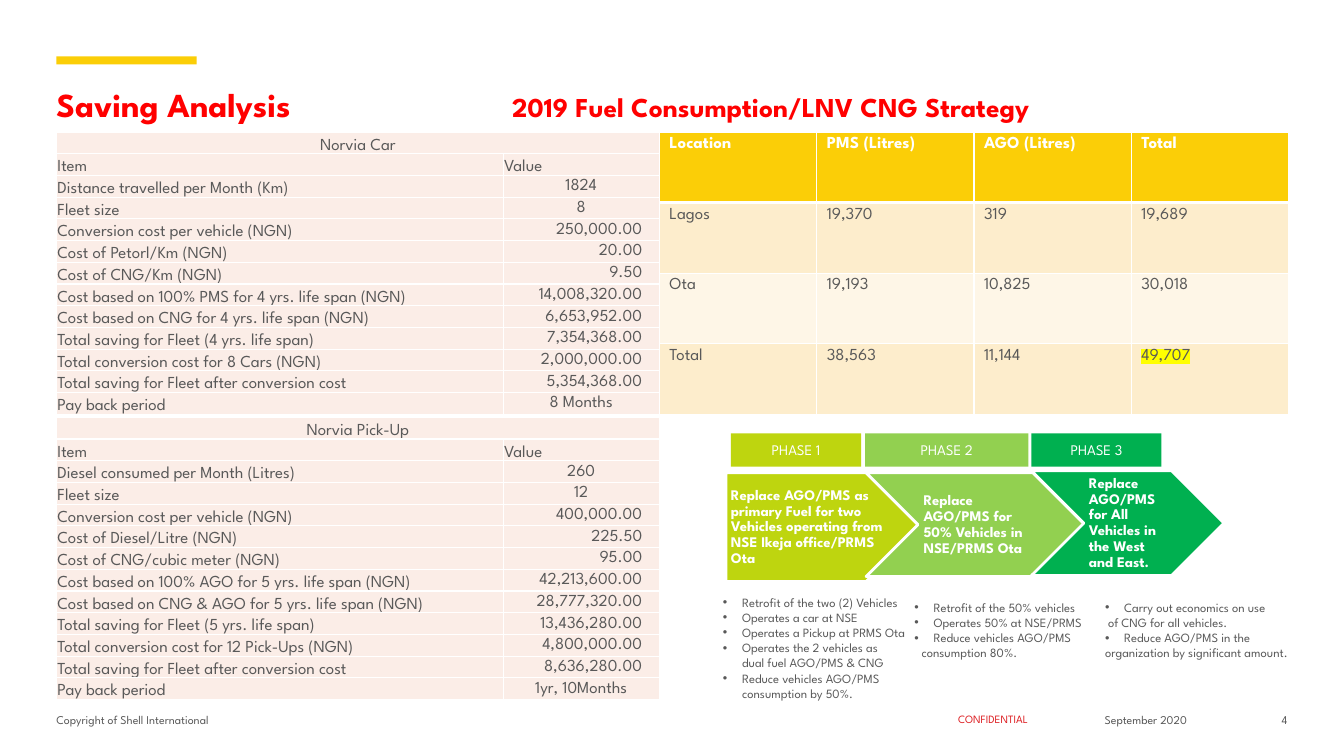
from pptx import Presentation
from pptx.dml.color import RGBColor
from pptx.enum.shapes import MSO_SHAPE
from pptx.enum.text import MSO_ANCHOR, MSO_AUTO_SIZE, PP_ALIGN
from pptx.oxml.ns import qn
from pptx.oxml.xmlchemy import OxmlElement
from pptx.util import Inches, Pt

LEFT, CENTER, RIGHT = PP_ALIGN.LEFT, PP_ALIGN.CENTER, PP_ALIGN.RIGHT
TOP, MIDDLE, BOTTOM = MSO_ANCHOR.TOP, MSO_ANCHOR.MIDDLE, MSO_ANCHOR.BOTTOM
RECTANGLE, PENTAGON, CHEVRON = MSO_SHAPE.RECTANGLE, MSO_SHAPE.PENTAGON, MSO_SHAPE.CHEVRON
FIXED_SIZE = MSO_AUTO_SIZE.NONE

COLORS = {
    "white": "FFFFFF", "grey": "595959", "red": "FF0000", "dark_red": "DD1D21",
    "yellow": "FBCE07", "pink": "FBEDE7", "sand": "FDEDCC", "cream": "FEF6E7",
    "lime": "BED50F", "light_green": "92D050", "green": "00B050", "marker": "FFFF00",
}
NO_INSETS = (0, 0, 0, 0)
COST_INSETS = (0.01, 0.01, 0.01, 0)
VALUE_INSETS = (0.01, 0.01, 0.17, 0)

CAR_ROWS = [
    ("Item", "Value"),
    ("Distance travelled per Month (Km)", "1824"),
    ("Fleet size", "8"),
    ("Conversion cost per vehicle (NGN)", "250,000.00"),
    ("Cost of Petorl/Km (NGN)", "20.00"),
    ("Cost of CNG/Km (NGN)", "9.50"),
    ("Cost based on 100% PMS for 4 yrs. life span (NGN)", "14,008,320.00"),
    ("Cost based on CNG for 4 yrs. life span (NGN)", "6,653,952.00"),
    ("Total saving for Fleet (4 yrs. life span)", "7,354,368.00"),
    ("Total conversion cost for 8 Cars (NGN)", "2,000,000.00"),
    ("Total saving for Fleet after conversion cost", "5,354,368.00"),
    ("Pay back period", "8 Months"),
]
PICKUP_ROWS = [
    ("Item", "Value"),
    ("Diesel consumed per Month (Litres)", "260"),
    ("Fleet size", "12"),
    ("Conversion cost per vehicle (NGN)", "400,000.00"),
    ("Cost of Diesel/Litre (NGN)", "225.50"),
    ("Cost of CNG/cubic meter (NGN)", "95.00"),
    ("Cost based on 100% AGO for 5 yrs. life span (NGN)", "42,213,600.00"),
    ("Cost based on CNG & AGO for 5 yrs. life span (NGN)", "28,777,320.00"),
    ("Total saving for Fleet (5 yrs. life span)", "13,436,280.00"),
    ("Total conversion cost for 12 Pick-Ups (NGN)", "4,800,000.00"),
    ("Total saving for Fleet after conversion cost", "8,636,280.00"),
    ("Pay back period", "1yr, 10Months"),
]
FUEL_ROWS = [
    ("Location", "PMS (Litres)", "AGO (Litres)", "Total"),
    ("Lagos", "19,370", "319", "19,689"),
    ("Ota", "19,193", "10,825", "30,018"),
    ("Total", "38,563", "11,144", "49,707"),
]
# Phase: label, colour, label box, arrow shape, arrow box, text left, text width, text
PHASES = [
    ("PHASE 1", "lime", (7.25, 4.3, 1.29, 0.33), PENTAGON, (7.2, 4.69, 1.93, 1.08), 7.2, 1.66,
     "Replace AGO/PMS as primary Fuel for two Vehicles operating from NSE Ikeja office/PRMS Ota"),
    ("PHASE 2", "light_green", (8.58, 4.3, 1.62, 0.33), CHEVRON, (8.59, 4.69, 2.17, 1.03), 9.11, 1.14,
     "Replace AGO/PMS for 50% Vehicles in NSE/PRMS Ota"),
    ("PHASE 3", "green", (10.23, 4.3, 1.29, 0.33), CHEVRON, (10.23, 4.67, 1.91, 1.04), 10.75, 0.88,
     "Replace AGO/PMS for All Vehicles in the West and East."),
]
# List: box, then lines as (text, indent of an unbulleted line or None for a bullet)
LISTS = [
    ((7.07, 5.85, 2.1, 1.16), [
        ("Retrofit of the two (2) Vehicles", None), ("Operates a car at NSE", None),
        ("Operates a Pickup at PRMS Ota", None), ("Operates the 2 vehicles as", None),
        ("dual fuel AGO/PMS & CNG", 0.19), ("Reduce vehicles AGO/PMS", None),
        ("consumption by 50%.", 0.19)]),
    ((8.97, 5.9, 1.9, 0.71), [
        ("Retrofit of the 50% vehicles", None), ("Operates 50% at NSE/PRMS", None),
        ("Reduce vehicles AGO/PMS", None), ("consumption 80%.", 0.07)]),
    ((10.86, 5.9, 2.08, 0.71), [
        ("Carry out economics on use", None), ("of CNG for all vehicles.", 0.03),
        ("Reduce AGO/PMS in the", None), ("organization by significant amount.", 0)]),
]


def rgb(name):
    return RGBColor.from_string(COLORS[name])


class SlideBuilder:
    def __init__(self, page, font_name):
        self.page = page
        self.font_name = font_name

    def format_font(self, font, size, color, bold=False):
        values = {"name": self.font_name, "size": Pt(size), "bold": bold}
        for key, value in values.items():
            setattr(font, key, value)
        font.color.rgb = rgb(color)

    def format_frame(self, frame, insets, anchor):
        values = dict(zip(("margin_left", "margin_top", "margin_right", "margin_bottom"),
                          map(Inches, insets)))
        values.update(word_wrap=True, auto_size=FIXED_SIZE, vertical_anchor=anchor)
        for key, value in values.items():
            setattr(frame, key, value)

    def place(self, item, box):
        for key, value in zip(("left", "top", "width", "height"), box):
            setattr(item, key, Inches(value))

    def shape(self, kind, box, color, line=None):
        item = self.page.shapes.add_shape(kind, *map(Inches, box))
        item.shadow.inherit = False
        item.fill.solid()
        item.fill.fore_color.rgb = rgb(color)
        if line:
            item.line.color.rgb = rgb("white")
            item.line.width = Pt(line)
        else:
            item.line.fill.background()
        return item

    def fill_frame(self, frame, text, size, color, bold=False, align=LEFT,
                   insets=NO_INSETS, anchor=TOP):
        self.format_frame(frame, insets, anchor)
        para = frame.paragraphs[0]
        para.alignment = align
        span = para.add_run()
        span.text = text
        self.format_font(span.font, size, color, bold)
        return para

    def text(self, box, *content, **style):
        item = self.page.shapes.add_textbox(*map(Inches, box))
        return self.fill_frame(item.text_frame, *content, **style)

    def title(self, item, box, parts, tab):
        self.place(item, box)
        self.format_frame(item.text_frame, (0, 0.05, 0, 0), TOP)
        para = item.text_frame.paragraphs[0]
        para.alignment = LEFT
        stops = OxmlElement("a:tabLst")
        stop = OxmlElement("a:tab")
        stop.set("pos", str(Inches(tab)))
        stop.set("algn", "l")
        stops.append(stop)
        para._p.get_or_add_pPr().append(stops)
        for text, size in parts:
            span = para.add_run()
            span.text = text
            self.format_font(span.font, size, "red", True)

    def bullets(self, item, box, lines):
        self.place(item, box)
        frame = item.text_frame
        self.format_frame(frame, (0.1, 0.05, 0.1, 0.05), TOP)
        for number, (text, indent) in enumerate(lines):
            para = frame.paragraphs[0] if number == 0 else frame.add_paragraph()
            bulleted = indent is None
            settings = para._p.get_or_add_pPr()
            settings.set("marL", str(Inches(0.19 if bulleted else indent)))
            settings.set("indent", str(Inches(-0.19 if bulleted else 0)))
            mark = OxmlElement("a:buChar" if bulleted else "a:buNone")
            if bulleted:
                mark.set("char", "•")
            settings.append(mark)
            para.alignment = LEFT
            para.space_before = Pt(0)
            span = para.add_run()
            span.text = text
            self.format_font(span.font, 9, "grey")

    def table(self, box, widths, row_count):
        grid = self.page.shapes.add_table(row_count, len(widths), *map(Inches, box)).table
        grid.first_row = grid.horz_banding = False
        for column, width in zip(grid.columns, widths):
            column.width = Inches(width)
        for row in grid.rows:
            row.height = Inches(box[3] / row_count)
        return grid

    def cell(self, cell, text, fill, color="grey", bold=False, align=LEFT,
             insets=(0.1, 0.05, 0.1, 0.05), anchor=TOP, bottom_line=1):
        cell.fill.solid()
        cell.fill.fore_color.rgb = rgb(fill)
        for position, side in enumerate("LRTB"):
            line = OxmlElement("a:ln" + side)
            line.set("w", str(Pt(bottom_line if side == "B" else 1)))
            paint = OxmlElement("a:solidFill")
            tint = OxmlElement("a:srgbClr")
            tint.set("val", COLORS["white"])
            paint.append(tint)
            line.append(paint)
            cell._tc.get_or_add_tcPr().insert(position, line)
        for key, value in zip(("left", "top", "right", "bottom"), insets):
            setattr(cell, "margin_" + key, Inches(value))
        cell.vertical_anchor = anchor
        para = cell.text_frame.paragraphs[0]
        para.alignment = align
        if text:
            span = para.add_run()
            span.text = text
            self.format_font(span.font, 12, color, bold)

    def cost_table(self, top, heading, rows):
        grid = self.table((0.56, top, 5.98, 2.8), (4.43, 1.55), len(rows) + 1)
        grid.cell(0, 0).merge(grid.cell(0, 1))
        self.cell(grid.cell(0, 0), heading, "pink", align=CENTER, insets=COST_INSETS, anchor=BOTTOM)
        self.cell(grid.cell(0, 1), "", "pink", insets=COST_INSETS)
        for number, (label, value) in enumerate(rows, 1):
            self.cell(grid.cell(number, 0), label, "pink", insets=COST_INSETS, anchor=BOTTOM)
            money = "." in value
            align = LEFT if number == 1 else RIGHT if money else CENTER
            self.cell(grid.cell(number, 1), value, "pink", align=align,
                      insets=VALUE_INSETS if money else COST_INSETS,
                      anchor=BOTTOM if number == 1 else MIDDLE)

    def fuel_table(self, rows):
        grid = self.table((6.54, 1.31, 6.24, 2.8), [1.56] * 4, len(rows))
        for number, values in enumerate(rows):
            header = number == 0
            fill = "yellow" if header else "sand" if number % 2 else "cream"
            for column, value in enumerate(values):
                self.cell(grid.cell(number, column), value, fill, "white" if header else "grey",
                          header, bottom_line=3 if header else 1)
        # Highlight the grand total
        span = grid.cell(len(rows) - 1, 3).text_frame.paragraphs[0].runs[0]
        highlight = OxmlElement("a:highlight")
        tint = OxmlElement("a:srgbClr")
        tint.set("val", COLORS["marker"])
        highlight.append(tint)
        span._r.get_or_add_rPr().find(qn("a:solidFill")).addnext(highlight)


def main():
    deck = Presentation()
    deck.slide_width, deck.slide_height = Inches(13.33), Inches(7.5)
    page = deck.slides.add_slide(deck.slide_layouts[4])
    builder = SlideBuilder(page, "League Spartan")
    title, *bodies = page.placeholders

    # Accent bar and title
    builder.shape(RECTANGLE, (0.56, 0.56, 1.39, 0.08), "yellow")
    builder.title(title, (0.56, 0.78, 12.22, 0.82), [
        ("Saving Analysis\t", 24), ("2019 Fuel Consumption/LNV CNG Strategy", 19.5)], 4.52)

    # Tables
    builder.cost_table(1.31, "Norvia Car", CAR_ROWS)
    builder.cost_table(4.14, "Norvia Pick-Up", PICKUP_ROWS)
    builder.fuel_table(FUEL_ROWS)

    # Phases
    for label, color, label_box, kind, box, left, width, text in PHASES:
        builder.shape(kind, box, color, line=2)
        para = builder.text((left, box[1], width, box[3]), text, 10.5, "white", bold=True,
                            insets=(0.05, 0.03, 0.02, 0.03), anchor=MIDDLE)
        para.line_spacing = 0.9
        tag = builder.shape(RECTANGLE, label_box, color)
        builder.fill_frame(tag.text_frame, label, 10.5, "white", align=CENTER, anchor=MIDDLE)

    # Lists under the phases
    for body, (box, lines) in zip(bodies, LISTS):
        builder.bullets(body, box, lines)
    for body in bodies[len(LISTS):]:
        body._element.getparent().remove(body._element)

    # Footer
    for left, width, text, size, color, align in [
            (0.56, 3.67, "Copyright of Shell International", 8.5, "grey", LEFT),
            (9.26, 1.18, "CONFIDENTIAL", 8, "dark_red", CENTER),
            (10.58, 1.57, "September 2020", 8.5, "grey", CENTER),
            (12.38, 0.39, "4", 8.5, "grey", RIGHT)]:
        builder.text((left, 7.07, width, 0.26), text, size, color, align=align)

    deck.save("out.pptx")


if __name__ == "__main__":
    main()
